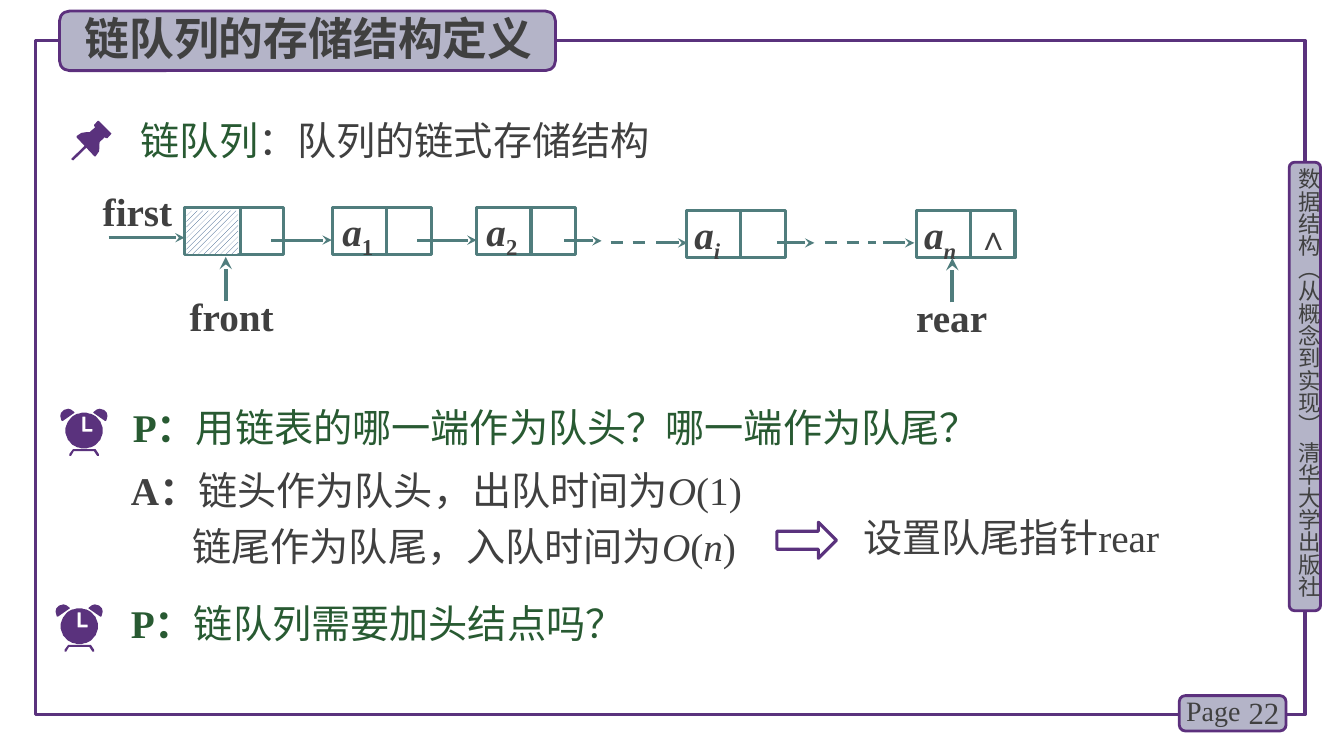
from dataclasses import dataclass
from math import cos, pi, sin

from lxml import etree
from pptx import Presentation
from pptx.dml.color import RGBColor
from pptx.enum.dml import MSO_LINE, MSO_PATTERN
from pptx.enum.shapes import MSO_CONNECTOR, MSO_SHAPE
from pptx.enum.text import MSO_ANCHOR, PP_ALIGN
from pptx.oxml.ns import qn
from pptx.util import Cm, Pt

RECT, ROUNDED, RIGHT_ARROW = MSO_SHAPE.RECTANGLE, MSO_SHAPE.ROUNDED_RECTANGLE, MSO_SHAPE.RIGHT_ARROW
STRAIGHT, DASH, HATCH = MSO_CONNECTOR.STRAIGHT, MSO_LINE.DASH, MSO_PATTERN.WIDE_UPWARD_DIAGONAL
LEFT, CENTER, RIGHT, JUSTIFY = PP_ALIGN.LEFT, PP_ALIGN.CENTER, PP_ALIGN.RIGHT, PP_ALIGN.JUSTIFY
TOP, MIDDLE = MSO_ANCHOR.TOP, MSO_ANCHOR.MIDDLE
NO_INSETS = (0, 0, 0, 0)
TEXT_INSETS = (0.25, 0.13, 0.25, 0.13)


@dataclass(frozen=True)
class Theme:
    purple: str = "5A327D"
    border: str = "5C307D"
    panel: str = "B4B4C8"
    ink: str = "404040"
    green: str = "285A32"
    teal: str = "507D7D"
    navy: str = "1F497D"
    white: str = "FFFFFF"
    serif: str = "Times New Roman"
    sans: str = "Noto Sans CJK SC"
    title: int = 32
    body: int = 28
    symbol: int = 24
    number: int = 22
    page: int = 20
    side: int = 16


THEME = Theme()
# Outlines in hundredths of a centimetre
PIN_HEAD = [(99, 30), (69, 0), (66, 0), (57, 10), (57, 13), (61, 15), (46, 28), (38, 28), (25, 30),
            (13, 38), (13, 41), (58, 89), (61, 89), (70, 76), (71, 53), (84, 41), (87, 43), (91, 43),
            (101, 32)]
PIN_NEEDLE = [(5, 99), (1, 98), (0, 95), (36, 60), (40, 60), (40, 65)]
CLOCK_FEET = [(97, 114), (89, 102), (32, 102), (23, 114), (23, 119), (27, 119), (34, 107), (85, 107),
              (93, 119), (97, 119)]
CLOCK_BELL = [(35, 8), (27, 2), (20, 0), (9, 3), (2, 10), (0, 18), (3, 30), (6, 31), (36, 10)]
CLOCK_HANDS = [(56, 20), (63, 20), (63, 51), (81, 51), (81, 58), (56, 58)]


def color(value):
    return RGBColor.from_string(value)


def span(text, font=THEME.serif, ink=THEME.ink, size=THEME.body, bold=False, italic=False, base=0):
    return dict(text=text, font=font, ink=ink, size=size, bold=bold, italic=italic, base=base)


def write(box, lines, align=LEFT, insets=TEXT_INSETS, spacing=None, anchor=TOP):
    frame = box.text_frame
    frame.word_wrap = True
    frame.vertical_anchor = anchor
    frame.margin_left, frame.margin_top, frame.margin_right, frame.margin_bottom = map(Cm, insets)
    for index, line in enumerate(lines):
        para = frame.add_paragraph() if index else frame.paragraphs[0]
        para.alignment = align
        para.line_spacing = spacing
        for part in line:
            run = para.add_run()
            run.text = part["text"]
            font = run.font
            font.name, font.size = part["font"], Pt(part["size"])
            font.bold, font.italic = part["bold"], part["italic"]
            font.color.rgb = color(part["ink"])
            etree.SubElement(font._element, qn("a:ea")).set("typeface", THEME.sans)
            if part["base"]:
                font._element.set("baseline", str(part["base"]))
    return frame


def add_text(page, left, top, width, height, lines, **layout):
    box = page.shapes.add_textbox(Cm(left), Cm(top), Cm(width), Cm(height))
    return write(box, lines, **layout)


def add_box(page, kind, left, top, width, height, line, weight=2.25, fill=None):
    shape = page.shapes.add_shape(kind, Cm(left), Cm(top), Cm(width), Cm(height))
    shape.shadow.inherit = False
    shape.line.color.rgb = color(line)
    shape.line.width = Pt(weight)
    if fill:
        shape.fill.solid()
        shape.fill.fore_color.rgb = color(fill)
    else:
        shape.fill.background()
    return shape


def add_panel(page, left, top, width, height):
    add_box(page, ROUNDED, left, top, width, height, THEME.border, 2, THEME.panel)


def add_line(page, x1, y1, x2, y2, weight=2.25, arrow=False, dashed=False):
    line = page.shapes.add_connector(STRAIGHT, Cm(x1), Cm(y1), Cm(x2), Cm(y2))
    line.line.color.rgb = color(THEME.teal)
    line.line.width = Pt(weight)
    if dashed:
        line.line.dash_style = DASH
    if arrow:
        etree.SubElement(line.line._get_or_add_ln(), qn("a:tailEnd")).set("type", "stealth")
    etree.SubElement(line._element.spPr, qn("a:effectLst"))


def add_outline(page, left, top, *contours):
    builder = page.shapes.build_freeform(*contours[0][0], scale=Cm(0.01))
    for index, points in enumerate(contours):
        if index:
            builder.move_to(*points[0])
        builder.add_line_segments(points[1:], close=True)
    shape = builder.convert_to_shape(Cm(left), Cm(top))
    shape.shadow.inherit = False
    shape.fill.solid()
    shape.fill.fore_color.rgb = color(THEME.purple)
    shape.line.fill.background()


def add_clock(page, left, top):
    face = [(60 + 47 * cos(step * pi / 24), 55 + 45 * sin(step * pi / 24)) for step in range(48)]
    right_bell = [(119 - x, y) for x, y in CLOCK_BELL]
    for contours in ([CLOCK_FEET], [CLOCK_BELL], [right_bell], [face, CLOCK_HANDS]):
        add_outline(page, left, top, *contours)


def frame_region(page, left, top, width, height):
    add_box(page, RECT, left, top, width, height, THEME.purple)
    # Side tab
    x, y = left + width - 0.4, top + 3.07
    add_panel(page, x, y, 0.79, 11.3)
    side = span("数据结构（从概念到实现） 清华大学出版社", THEME.sans, size=THEME.side)
    frame = add_text(page, x + 0.15, y + 0.15, 0.69, 11.4, [[side]], insets=NO_INSETS)
    frame._txBody.bodyPr.set("vert", "eaVert")
    # Page number
    x, y = left + width - 3.17, top + height - 0.48
    add_panel(page, x, y, 2.69, 0.89)
    add_text(page, x + 1.27, y - 0.1, 1.5, 1.02, [[span("22", size=THEME.number)]],
             align=RIGHT, anchor=MIDDLE)
    add_text(page, x - 0.08, y - 0.18, 1.98, 1.12, [[span("Page", size=THEME.page)]])


def title_region(page, left, top, width, height):
    add_panel(page, left, top, width, height)
    title = span("链队列的存储结构定义", THEME.sans, size=THEME.title, bold=True)
    add_text(page, left + 0.35, top - 0.15, width - 0.64, height + 0.13, [[title]], align=CENTER)


def definition_region(page, left, top, width, height):
    add_outline(page, left, top + 0.26, PIN_HEAD)
    add_outline(page, left, top + 0.26, PIN_NEEDLE)
    add_text(page, left + 1.5, top, width - 1.5, height,
             [[span("链队列", THEME.sans, THEME.green), span("：队列的链式存储结构", THEME.sans)]])


def chain_region(page, left, top):
    # Nodes: offset, drop, divider, subscript
    nodes = [(2.15, 0.53, 1.42, ""), (5.88, 0.53, 1.37, "1"), (9.51, 0.53, 1.37, "2"),
             (14.8, 0.61, 1.37, "i"), (20.59, 0.61, 1.37, "n")]
    for offset, drop, divider, index in nodes:
        x, y = left + offset, top + drop
        node = add_box(page, RECT, x, y, 2.49, 1.19, THEME.teal)
        add_line(page, x + divider, y, x + divider, y + 1.19)
        if index:
            label = [span("a", bold=True, italic=True),
                     span(index, bold=True, italic=index.isalpha(), base=-25000)]
            inset = 0.2 if index.isalpha() else 0.25
            write(node, [label], insets=(inset, 0, 0, 0.2), spacing=0.9)
    hatch = add_box(page, RECT, left + 2.2, top + 0.61, 1.3, 1.09, THEME.white)
    hatch.line.fill.background()
    hatch.fill.patterned()
    hatch.fill.pattern = HATCH
    hatch.fill.fore_color.rgb, hatch.fill.back_color.rgb = color(THEME.navy), color(THEME.white)
    add_text(page, left + 21.86, top + 0.63, 1.24, 1.27, [[span("∧", size=THEME.symbol, bold=True)]])
    # Links: start, end, height
    for start, end, y in [(0.24, 2.15, 1.29), (4.33, 5.86, 1.35), (8.02, 9.51, 1.35), (11.72, 12.66, 1.37),
                          (14.04, 14.82, 1.42), (17.08, 18.02, 1.42), (19.75, 20.54, 1.42)]:
        add_line(page, left + start, top + y, left + end, top + y, arrow=True)
    for start, end in [(12.89, 13.81), (18.28, 19.57)]:
        add_line(page, left + start, top + 1.42, left + end, top + 1.42, dashed=True)
    # Pointers
    add_text(page, left + 0.09, top + 0.02, 2.11, 1.3, [[span("first", bold=True)]], insets=(0, 0, 0, 0.1))
    for name, offset, drop in [("front", 2.28, 2.89), ("rear", 20.59, 2.92)]:
        x, y = left + offset, top + drop
        add_text(page, x, y, 2.16, 0.89, [[span(name, bold=True)]],
                 align=JUSTIFY, insets=NO_INSETS, spacing=0.8)
        add_line(page, x + 0.91, y, x + 0.91, y - 1.12, weight=3, arrow=True)


def question_region(page, left, top, width, height, question, indent):
    add_clock(page, left, top + 0.27)
    add_text(page, left + indent, top, width - indent, height,
             [[span("P：", ink=THEME.green, bold=True), span(question, THEME.sans, THEME.green)]])


def answer_region(page, left, top, width, height):
    first = [span("A：", bold=True), span("链头作为队头，出队时间为"), span("O", italic=True), span("(1)")]
    second = [span("链尾作为队尾，入队时间为"), span("O", italic=True), span("("),
              span("n", italic=True), span(")")]
    frame = add_text(page, left, top, width, height, [first, second], spacing=Pt(40))
    frame.paragraphs[1]._p.get_or_add_pPr().set("marL", str(Cm(1.55)))
    # Conclusion
    add_box(page, RIGHT_ARROW, left + 16.53, top + 1.76, 1.5, 0.91, THEME.purple)
    add_text(page, left + 18.46, top + 1.4, 9.04, 1.45, [[span("设置队尾指针rear")]])


def main():
    deck = Presentation()
    deck.slide_width, deck.slide_height = Cm(33.87), Cm(19.05)
    page = deck.slides.add_slide(deck.slide_layouts[6])
    frame_region(page, 0.89, 1.02, 32, 16.99)
    title_region(page, 1.5, 0.28, 12.5, 1.5)
    definition_region(page, 1.8, 2.79, 17.17, 1.45)
    chain_region(page, 2.5, 4.7)
    question_region(page, 1.52, 10.03, 28.25, 1.45, "用链表的哪一端作为队头？哪一端作为队尾？", 1.58)
    answer_region(page, 3.05, 11.4, 27.86, 3.1)
    question_region(page, 1.4, 14.96, 17.57, 1.45, "链队列需要加头结点吗？", 1.65)
    deck.save("out.pptx")


if __name__ == "__main__":
    main()
